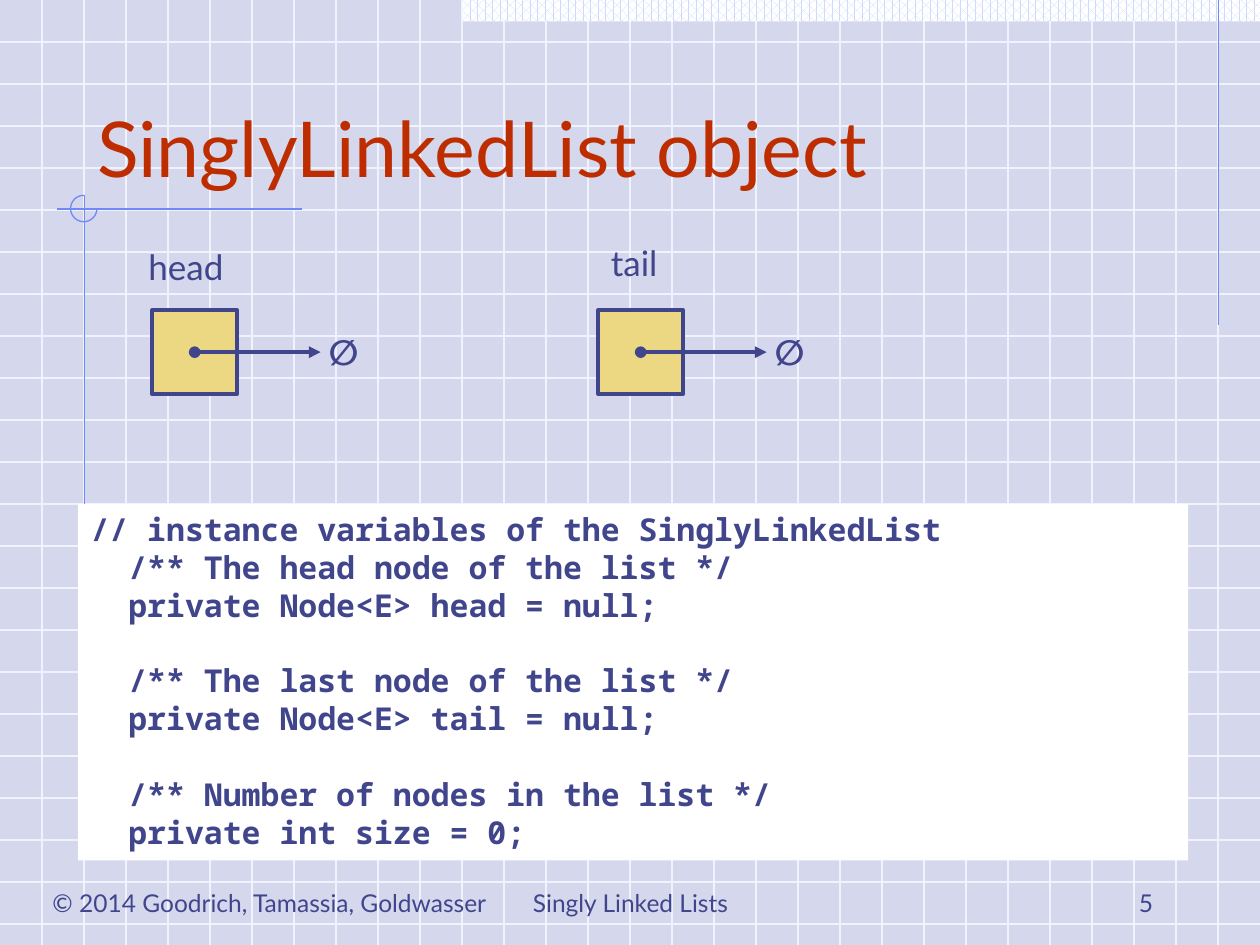
from lxml import etree
from pptx import Presentation, util as u
from pptx.dml.color import RGBColor
from pptx.enum import dml, shapes, text
from pptx.oxml import ns

BACKGROUND, GRID, PALE, ACCENT = "D5D7EC", "F0F3FE", "CFDBFD", "6F89F7"
INK, TITLE, NODE, WHITE = "40458C", "BE2D00", "ECD882", "FFFFFF"
WIDTH, HEIGHT, GRID_STEP = 10, 7.5, 1 / 3
CODE_INDENT, CODE_LINE = 0.3, 21.6
CODE = [  # (text, indent level, gap in lines before)
    ("// instance variables of the SinglyLinkedList", 0, 0),
    ("/** The head node of the list */", 1, 0),
    ("private Node<E> head = null;", 1, 0),
    ("/** The last node of the list */", 1, 1),
    ("private Node<E> tail = null;", 1, 0),
    ("/** Number of nodes in the list */", 1, 1),
    ("private int size = 0;", 1, 0),
]
LEFT, CENTER, RIGHT = (
    text.PP_ALIGN.LEFT, text.PP_ALIGN.CENTER, text.PP_ALIGN.RIGHT)
TOP, BOTTOM = text.MSO_ANCHOR.TOP, text.MSO_ANCHOR.BOTTOM


def color(value):
    return RGBColor.from_string(value)


def write(paragraph, content, size=14, font="Lato", ink=INK, bold=False,
          align=LEFT):
    paragraph.alignment = align
    run = paragraph.add_run()
    run.text = content
    run.font.size = u.Pt(size)
    run.font.name = font
    run.font.bold = bold
    run.font.color.rgb = color(ink)


class SlideBuilder:
    def __init__(self, slide):
        self.slide = slide
        self.shapes = slide.shapes
        slide.background.fill.solid()
        slide.background.fill.fore_color.rgb = color(BACKGROUND)

    def line(self, x1, y1, x2, y2, ink=ACCENT, width=0.75, ends=()):
        """Draw a straight line; ends holds its (head, tail) arrow types."""
        line = self.shapes.add_connector(
            shapes.MSO_CONNECTOR.STRAIGHT,
            *map(u.Inches, (x1, y1, x2, y2)))
        line.line.color.rgb = color(ink)
        line.line.width = u.Pt(width)
        outline = line.line._get_or_add_ln()
        for tag, kind in zip(("a:headEnd", "a:tailEnd"), ends):
            etree.SubElement(outline, ns.qn(tag), type=kind)
        etree.SubElement(line._element.spPr, ns.qn("a:effectLst"))

    def shape(self, box, fill=None, ink=None, width=0.75,
              kind=shapes.MSO_SHAPE.RECTANGLE):
        shape = self.shapes.add_shape(kind, *map(u.Inches, box))
        shape.shadow.inherit = False
        if fill:
            shape.fill.solid()
            shape.fill.fore_color.rgb = color(fill)
        else:
            shape.fill.background()
        if ink:
            shape.line.color.rgb = color(ink)
            shape.line.width = u.Pt(width)
        else:
            shape.line.fill.background()
        return shape

    def label(self, content, box, anchor=TOP, wrap=False, **style):
        frame = self.shapes.add_textbox(*map(u.Inches, box)).text_frame
        frame.word_wrap = wrap
        frame.vertical_anchor = anchor
        write(frame.paragraphs[0], content, **style)

    def title(self, content, box):
        title = self.shapes.title
        title.left, title.top, title.width, title.height = map(u.Inches, box)
        title.text_frame.vertical_anchor = BOTTOM
        title.text_frame.word_wrap = True
        write(title.text_frame.paragraphs[0], content, size=44, ink=TITLE)
        self.shapes._spTree.append(title._element)  # bring above the grid

    def backdrop(self):
        for row in range(1, 23):
            self.line(0, row * GRID_STEP, WIDTH, row * GRID_STEP, GRID)
        for column in range(1, 30):
            self.line(column * GRID_STEP, 0, column * GRID_STEP, HEIGHT, GRID)
        band = self.shape((3.67, 0, 6.33, 0.17))
        band.fill.patterned()
        band.fill.pattern = dml.MSO_PATTERN.PERCENT_60
        band.fill.fore_color.rgb = color(PALE)
        band.fill.back_color.rgb = color(WHITE)
        self.line(9.67, 0, 9.67, 2.58)
        self.line(2.4, 1.66, 0.45, 1.66)
        self.line(0.67, 1.55, 0.67, 4.09)
        arc = self.shape((0.56, 1.55, 0.21, 0.21), ink=ACCENT,
                         kind=shapes.MSO_SHAPE.ARC)
        arc.adjustments[0] = 0
        arc.adjustments[1] = 270 * 0.6  # degrees in units of 100000/60000

    def code(self, lines, box):
        frame = self.shape(box, WHITE).text_frame
        frame.word_wrap = True
        frame.vertical_anchor = TOP
        for index, (content, level, gap) in enumerate(lines):
            paragraph = (frame.add_paragraph() if index
                         else frame.paragraphs[0])
            paragraph.space_before = u.Pt(gap * CODE_LINE)
            properties = paragraph._p.get_or_add_pPr()
            properties.set("marL", str(u.Inches(level * CODE_INDENT)))
            write(paragraph, content, size=18, font="Noto Sans Mono",
                  bold=True)

    def null_reference(self, left, top=2.46, side=0.67):
        """Draw a node box whose arrow points to the null sign."""
        middle = top + side / 2
        self.shape((left, top, side, side), NODE, INK, 2.25)
        start = left + side / 2
        self.line(start, middle, start + 1, middle, INK, 2.25,
                  ("oval", "triangle"))
        self.label("∅", (left + 1.3, 2.57, 0.43, 0.43), size=20, bold=True,
                   align=CENTER)


def main():
    presentation = Presentation()
    presentation.slide_width = u.Inches(WIDTH)
    presentation.slide_height = u.Inches(HEIGHT)
    slide = presentation.slides.add_slide(presentation.slide_layouts[5])
    builder = SlideBuilder(slide)
    builder.backdrop()
    builder.label("© 2014 Goodrich, Tamassia, Goldwasser",
                  (0.28, 7, 3.72, 0.34), align=CENTER)
    builder.title("SinglyLinkedList object", (0.67, 0.33, 8.5, 1.25))
    builder.label("Singly Linked Lists", (3.42, 6.83, 3.17, 0.5),
                  anchor=BOTTOM, wrap=True, align=CENTER)
    builder.label("5", (7.17, 6.83, 2.08, 0.5),
                  anchor=BOTTOM, wrap=True, align=RIGHT)
    builder.code(CODE, (0.62, 4, 8.81, 2.83))
    builder.null_reference(1.21)
    builder.label("head", (1.07, 1.9, 0.81, 0.44), size=20, align=CENTER)
    builder.null_reference(4.75)
    builder.label("tail", (4.75, 1.87, 0.57, 0.44), size=20)
    presentation.save("out.pptx")


if __name__ == "__main__":
    main()
